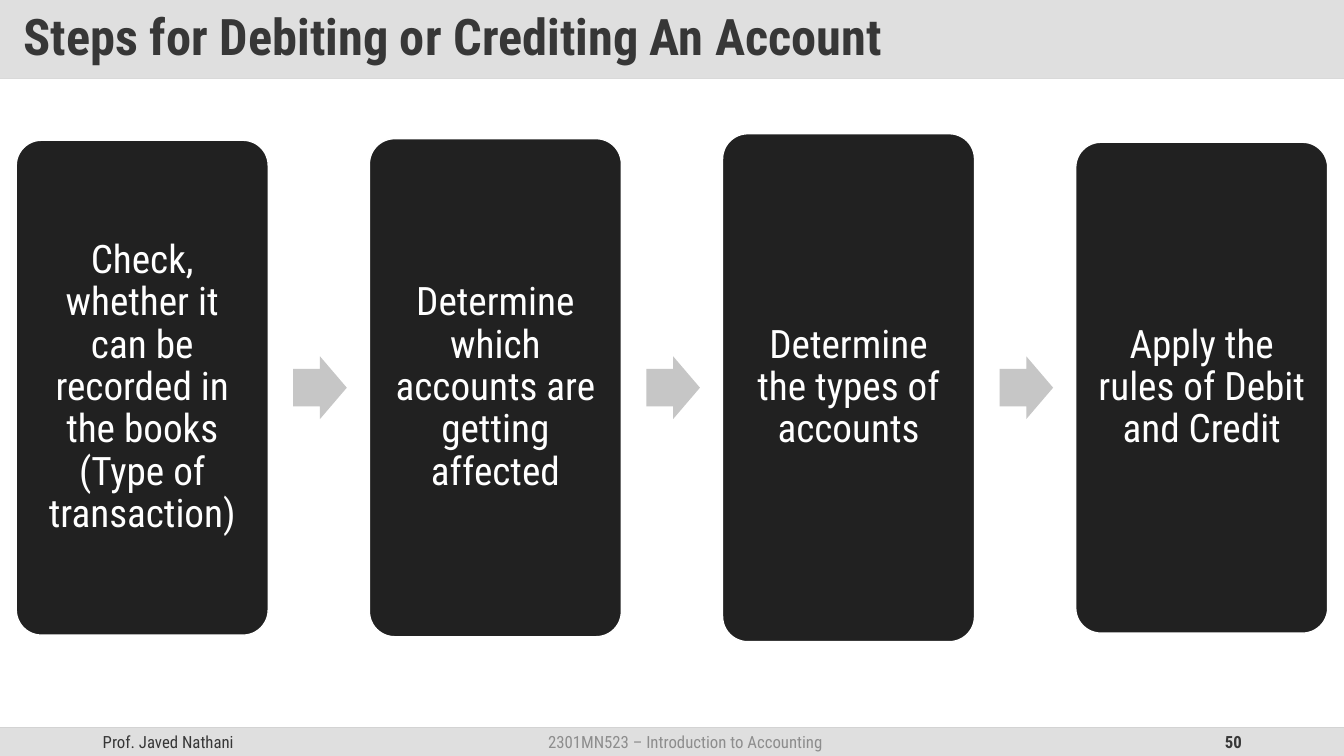
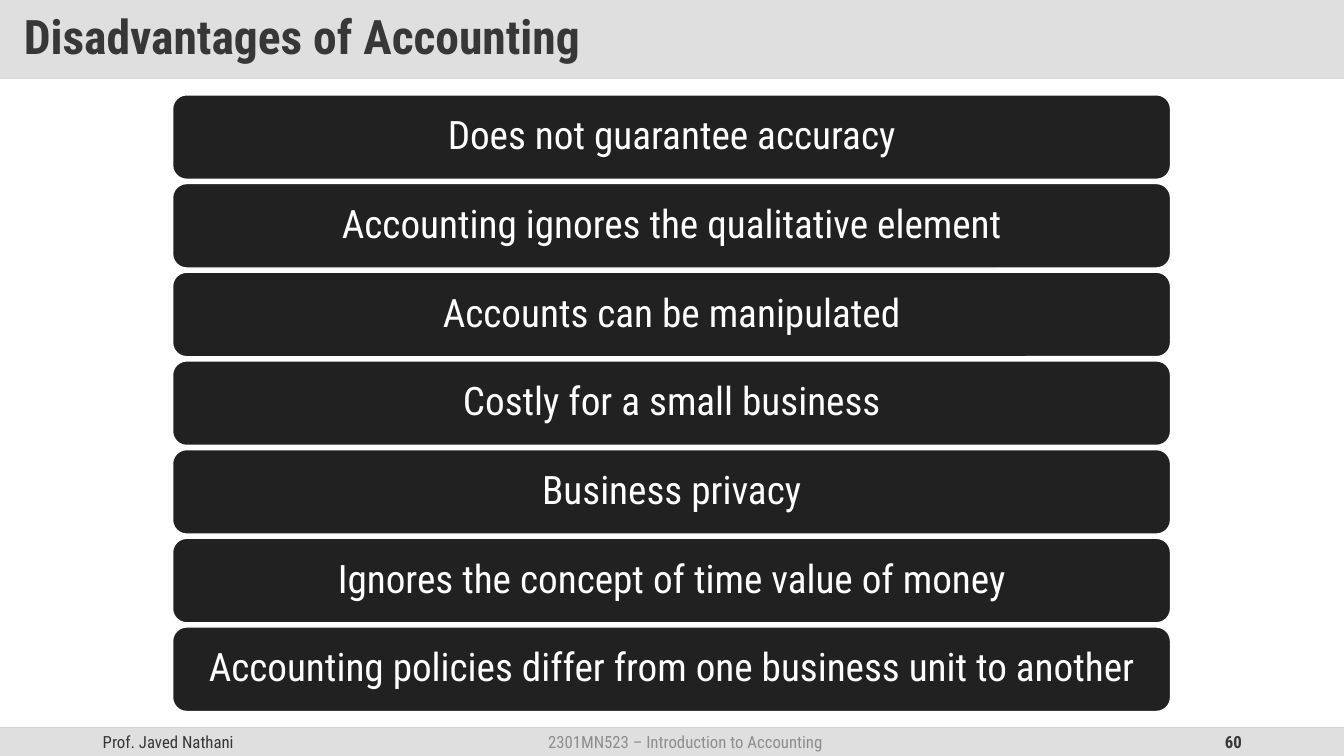
"""Build two accounting slides: a four-step flow and a list of drawbacks."""
from dataclasses import dataclass

from lxml.etree import SubElement
from pptx import Presentation
from pptx.dml.color import RGBColor
from pptx.enum.shapes import MSO_CONNECTOR, MSO_SHAPE
from pptx.enum.text import MSO_ANCHOR, MSO_AUTO_SIZE, PP_ALIGN
from pptx.oxml.ns import qn
from pptx.util import Cm, Pt


@dataclass(frozen=True)
class Theme:
    font: str = "Roboto Condensed"
    ink: RGBColor = RGBColor(0x37, 0x37, 0x37)
    muted: RGBColor = RGBColor(0x8D, 0x8D, 0x8D)
    white: RGBColor = RGBColor(0xFF, 0xFF, 0xFF)
    card: RGBColor = RGBColor(0x21, 0x21, 0x21)
    arrow: RGBColor = RGBColor(0xC6, 0xC6, 0xC6)
    band: RGBColor = RGBColor(0xDF, 0xDF, 0xDF)
    rule: RGBColor = RGBColor(0xD9, 0xD9, 0xD9)
    edge: RGBColor = RGBColor(0xD2, 0xD2, 0xD2)
    body: int = 28
    small: int = 12


theme = Theme()
wide, high = 33.87, 19.05
head, foot = 1.98, 18.34


def write(shape, text, size, color, align, pad, bold=False, space=0.9):
    frame = shape.text_frame
    frame.text = text
    line = frame.paragraphs[0]
    font = line.runs[0].font
    across, down = Cm(pad[0]), Cm(pad[1])
    format = {
        frame: {"word_wrap": True, "auto_size": MSO_AUTO_SIZE.NONE,
                "vertical_anchor": MSO_ANCHOR.MIDDLE,
                "margin_left": across, "margin_right": across,
                "margin_top": down, "margin_bottom": down},
        line: {"alignment": align, "line_spacing": space},
        font: {"name": theme.font, "size": Pt(size), "bold": bold},
        font.color: {"rgb": color},
    }
    for part, values in format.items():
        for name, value in values.items():
            setattr(part, name, value)


def draw(slide, kind, box, fill, line=None):
    shape = slide.shapes.add_shape(kind, *map(Cm, box))
    shape.shadow.inherit = False
    shape.fill.solid()
    shape.fill.fore_color.rgb = fill
    if line is None:
        shape.line.fill.background()
    else:
        shape.line.color.rgb = line
        shape.line.width = Pt(1)
    return shape


deck = Presentation()
deck.slide_width, deck.slide_height = Cm(wide), Cm(high)

pages = []
for text, size, number in (
    ("Steps for Debiting or Crediting An Account", 36, "50"),
    ("Disadvantages of Accounting", 34, "60"),
):
    slide = deck.slides.add_slide(deck.slide_layouts[5])
    pages.append(slide)

    title = slide.shapes.title
    title.left, title.top, title.width, title.height = map(Cm, (0, 0, wide, head))
    title.fill.solid()
    title.fill.fore_color.rgb = theme.band
    write(title, text, size, theme.ink, PP_ALIGN.LEFT, (0.6, 0.3), True)

    for top, color in ((head, theme.rule), (foot, theme.edge)):
        rule = slide.shapes.add_connector(
            MSO_CONNECTOR.STRAIGHT, 0, Cm(top), Cm(wide), Cm(top))
        rule.line.color.rgb = color
        rule.line.width = Pt(1)
        SubElement(rule._element.spPr, qn("a:effectLst"))

    draw(slide, MSO_SHAPE.RECTANGLE, (0, foot, wide, high - foot), theme.band)
    for text, left, width, color, align, bold in (
        ("Prof. Javed Nathani", 2.34, 7.62, theme.ink, PP_ALIGN.LEFT, False),
        ("2301MN523 – Introduction to Accounting", 10.62, 13.31, theme.muted,
         PP_ALIGN.CENTER, False),
        (number, 23.93, 7.62, theme.ink, PP_ALIGN.RIGHT, True),
    ):
        box = slide.shapes.add_textbox(*map(Cm, (left, foot, width, high - foot)))
        write(box, text, theme.small, color, align, (0.25, 0.13), bold, 1.0)

flow, flaws = pages

steps = (
    ("Check, whether it can be recorded in the books (Type of transaction)", 12.47),
    ("Determine which accounts are getting affected", 12.55),
    ("Determine the types of accounts", 12.8),
    ("Apply the rules of Debit and Credit", 12.37),
)
mid, start, pitch, width = 9.77, 0.41, 8.9, 6.35
for index, (text, tall) in enumerate(steps):
    left = start + index * pitch
    card = draw(flow, MSO_SHAPE.ROUNDED_RECTANGLE,
                (left, mid - tall / 2, width, tall), theme.card, theme.white)
    card.adjustments[0] = 0.1
    write(card, text, theme.body, theme.white, PP_ALIGN.CENTER, (0.3, 0.3))
    if index < len(steps) - 1:
        arrow = draw(flow, MSO_SHAPE.RIGHT_ARROW,
                     (left + 6.98, mid - 0.79, 1.35, 1.58), theme.arrow)
        arrow.adjustments[0] = 0.6

points = (
    "Does not guarantee accuracy",
    "Accounting ignores the qualitative element",
    "Accounts can be manipulated",
    "Costly for a small business",
    "Business privacy",
    "Ignores the concept of time value of money",
    "Accounting policies differ from one business unit to another",
)
first, last = 2.39, 15.8
pitch = (last - first) / (len(points) - 1)
for index, text in enumerate(points):
    bar = draw(flaws, MSO_SHAPE.ROUNDED_RECTANGLE,
               (4.35, first + index * pitch, 25.15, 2.13), theme.card, theme.white)
    write(bar, text, theme.body, theme.white, PP_ALIGN.CENTER, (0.3, 0.15))

deck.save("out.pptx")
